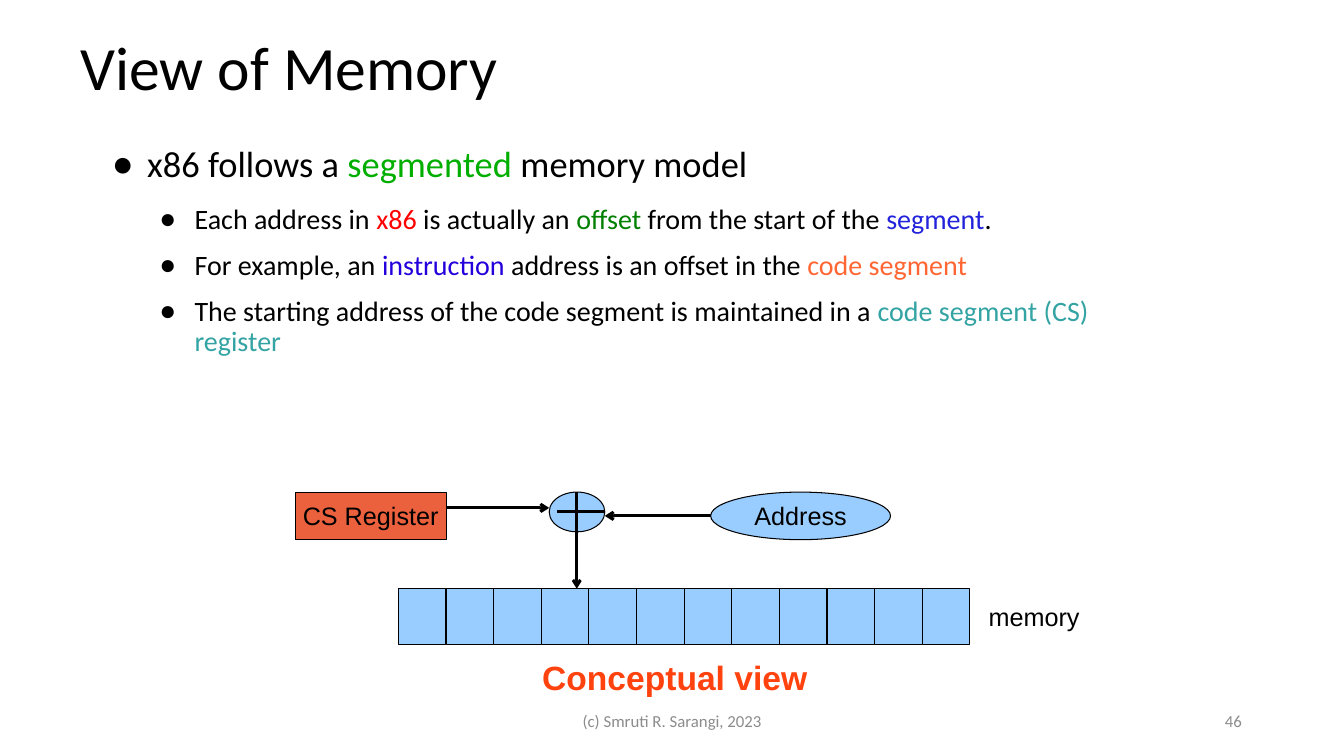
from dataclasses import dataclass

from lxml import etree
from pptx import Presentation
from pptx.dml.color import RGBColor
from pptx.enum.shapes import MSO_CONNECTOR, MSO_SHAPE
from pptx.enum.text import MSO_ANCHOR, PP_ALIGN
from pptx.oxml.ns import qn
from pptx.util import Pt

RECTANGLE, OVAL = MSO_SHAPE.RECTANGLE, MSO_SHAPE.OVAL
STRAIGHT = MSO_CONNECTOR.STRAIGHT
TOP, MIDDLE = MSO_ANCHOR.TOP, MSO_ANCHOR.MIDDLE
LEFT, CENTER, RIGHT = PP_ALIGN.LEFT, PP_ALIGN.CENTER, PP_ALIGN.RIGHT

BLACK = RGBColor(0x00, 0x00, 0x00)
GREY = RGBColor(0x8C, 0x8C, 0x8C)
SKY = RGBColor(0x99, 0xCC, 0xFF)
BRICK = RGBColor(0xEB, 0x61, 0x3D)
ORANGE_RED = RGBColor(0xFF, 0x42, 0x0E)
BRIGHT_GREEN = RGBColor(0x00, 0xAE, 0x00)
GREEN = RGBColor(0x00, 0x80, 0x00)
RED = RGBColor(0xFF, 0x00, 0x00)
BLUE = RGBColor(0x23, 0x23, 0xDC)
INDIGO = RGBColor(0x23, 0x00, 0xDC)
ORANGE = RGBColor(0xFF, 0x66, 0x33)
TEAL = RGBColor(0x33, 0xA3, 0xA3)

HEADING_FONT, DIAGRAM_FONT = "Calibri", "Arial"
HAIRLINE = 0
BULLET_INDENT = 25.2
INSETS = (7.2, 3.6)
CELL_COUNT, CELL_WIDTH = 12, 34.02
MEMORY_LEFT, MEMORY_TOP, MEMORY_HEIGHT = 284.6, 420.5, 39.7


@dataclass(frozen=True)
class Box:
    left: float
    top: float
    width: float
    height: float

    def lengths(self) -> list:
        return [Pt(v) for v in (self.left, self.top, self.width, self.height)]


@dataclass(frozen=True)
class Point:
    level: int
    phrases: tuple


@dataclass(frozen=True)
class PointStyle:
    size: float
    margin: float
    space_after: float


@dataclass(frozen=True)
class Wire:
    start: tuple
    end: tuple
    arrow: bool


@dataclass(frozen=True)
class Label:
    box: Box
    text: str
    size: float
    font: str = DIAGRAM_FONT
    color: RGBColor = BLACK
    bold: bool = False
    align: PP_ALIGN = LEFT
    anchor: MSO_ANCHOR = TOP
    insets: tuple = INSETS
    wrap: bool = False
    line_spacing: float = 1.0


@dataclass(frozen=True)
class Node:
    kind: MSO_SHAPE
    box: Box
    fill: RGBColor
    text: str = ""


POINT_STYLES = (PointStyle(26, 33.84, 14.1), PointStyle(20, 67.7, 11.3))
POINTS = (
    Point(0, (("x86 follows a ", BLACK), ("segmented", BRIGHT_GREEN),
              (" memory model", BLACK))),
    Point(1, (("Each address in ", BLACK), ("x86", RED),
              (" is actually an ", BLACK), ("offset", GREEN),
              (" from the start of the ", BLACK), ("segment", BLUE), (".", BLACK))),
    Point(1, (("For example, an ", BLACK), ("instruction", INDIGO),
              (" address is an offset in the ", BLACK), ("code segment", ORANGE))),
    Point(1, (("The starting address of the code segment is maintained in a ", BLACK),
              ("code segment (CS) register", TEAL))),
)
LABELS = (
    Label(Box(57.6, 13.7, 584, 73.4), "View of Memory", 44, HEADING_FONT,
          anchor=MIDDLE, insets=(0, 0), wrap=True, line_spacing=0.9),
    Label(Box(699.1, 426.2, 80, 28.1), "memory", 18),
    Label(Box(380.2, 465.8, 208, 35.3), "Conceptual view", 24,
          color=ORANGE_RED, bold=True),
    Label(Box(678.2, 500.4, 216, 28.8), "46", 12, HEADING_FONT, GREY,
          align=RIGHT, anchor=MIDDLE, wrap=True),
    Label(Box(318.2, 500.4, 324, 28.8), "(c) Smruti R. Sarangi, 2023", 12,
          HEADING_FONT, GREY, align=CENTER, anchor=MIDDLE, wrap=True),
)
MEMORY_CELLS = tuple(
    Node(RECTANGLE, Box(MEMORY_LEFT + i * CELL_WIDTH, MEMORY_TOP,
                        CELL_WIDTH, MEMORY_HEIGHT), SKY)
    for i in range(CELL_COUNT)
)
NODES = MEMORY_CELLS + (
    Node(RECTANGLE, Box(210.8, 351.5, 108, 34), BRICK, "CS Register"),
    Node(OVAL, Box(507.6, 351.5, 128.5, 34), SKY, "Address"),
    Node(OVAL, Box(392.3, 351.5, 39.7, 28.4), SKY),
)
WIRES = (
    Wire((398, 365.6), (432, 365.6), False),
    Wire((412, 351.5), (412, 378), False),
    Wire((319, 362.8), (392.3, 362.8), True),
    Wire((507.6, 368.5), (432, 368.5), True),
    Wire((412, 378), (412, MEMORY_TOP), True),
)


def write(paragraph, text: str, *, size: float, font: str = DIAGRAM_FONT,
          color: RGBColor = BLACK, bold: bool = False) -> None:
    run = paragraph.add_run()
    run.text = text
    run.font.size, run.font.name, run.font.bold = Pt(size), font, bold
    run.font.color.rgb = color


def set_frame(frame, insets: tuple, anchor: MSO_ANCHOR, wrap: bool) -> None:
    frame.margin_left = frame.margin_right = Pt(insets[0])
    frame.margin_top = frame.margin_bottom = Pt(insets[1])
    frame.vertical_anchor, frame.word_wrap = anchor, wrap


def add_label(slide, label: Label) -> None:
    frame = slide.shapes.add_textbox(*label.box.lengths()).text_frame
    set_frame(frame, label.insets, label.anchor, label.wrap)
    paragraph = frame.paragraphs[0]
    paragraph.alignment, paragraph.line_spacing = label.align, label.line_spacing
    write(paragraph, label.text, size=label.size, font=label.font,
          color=label.color, bold=label.bold)


def add_points(slide, box: Box, points: tuple) -> None:
    frame = slide.shapes.add_textbox(*box.lengths()).text_frame
    set_frame(frame, (0, 0), TOP, True)
    for i, point in enumerate(points):
        style = POINT_STYLES[point.level]
        paragraph = frame.add_paragraph() if i else frame.paragraphs[0]
        paragraph.level = point.level
        paragraph.line_spacing, paragraph.space_after = 0.9, Pt(style.space_after)
        properties = paragraph._p.get_or_add_pPr()
        properties.set("marL", str(Pt(style.margin)))
        properties.set("indent", str(-Pt(BULLET_INDENT)))
        etree.SubElement(properties, qn("a:buFont"), typeface=DIAGRAM_FONT)
        etree.SubElement(properties, qn("a:buChar"), char="●")
        for text, color in point.phrases:
            write(paragraph, text, size=style.size, font=HEADING_FONT, color=color)


def add_node(slide, node: Node) -> None:
    shape = slide.shapes.add_shape(node.kind, *node.box.lengths())
    shape.shadow.inherit = False
    shape.fill.solid()
    shape.fill.fore_color.rgb = node.fill
    shape.line.color.rgb, shape.line.width = BLACK, Pt(HAIRLINE)
    if node.text:
        set_frame(shape.text_frame, INSETS, MIDDLE, False)
        paragraph = shape.text_frame.paragraphs[0]
        paragraph.alignment = CENTER
        write(paragraph, node.text, size=18)


def add_wire(slide, wire: Wire) -> None:
    ends = [Pt(v) for v in wire.start + wire.end]
    connector = slide.shapes.add_connector(STRAIGHT, *ends)
    connector.line.color.rgb, connector.line.width = BLACK, Pt(HAIRLINE)
    if wire.arrow:
        etree.SubElement(connector.line._get_or_add_ln(), qn("a:tailEnd"), type="arrow")
    etree.SubElement(connector._element.spPr, qn("a:effectLst"))


def main() -> None:
    deck = Presentation()
    deck.slide_width, deck.slide_height = Pt(960), Pt(540)
    slide = deck.slides.add_slide(deck.slide_layouts[6])
    # Explanation
    add_points(slide, Box(71.3, 104.4, 767.5, 182.2), POINTS)
    # Address calculation and memory
    for node in NODES:
        add_node(slide, node)
    for wire in WIRES:
        add_wire(slide, wire)
    # Title, captions and footer
    for label in LABELS:
        add_label(slide, label)
    deck.save("out.pptx")


if __name__ == "__main__":
    main()
